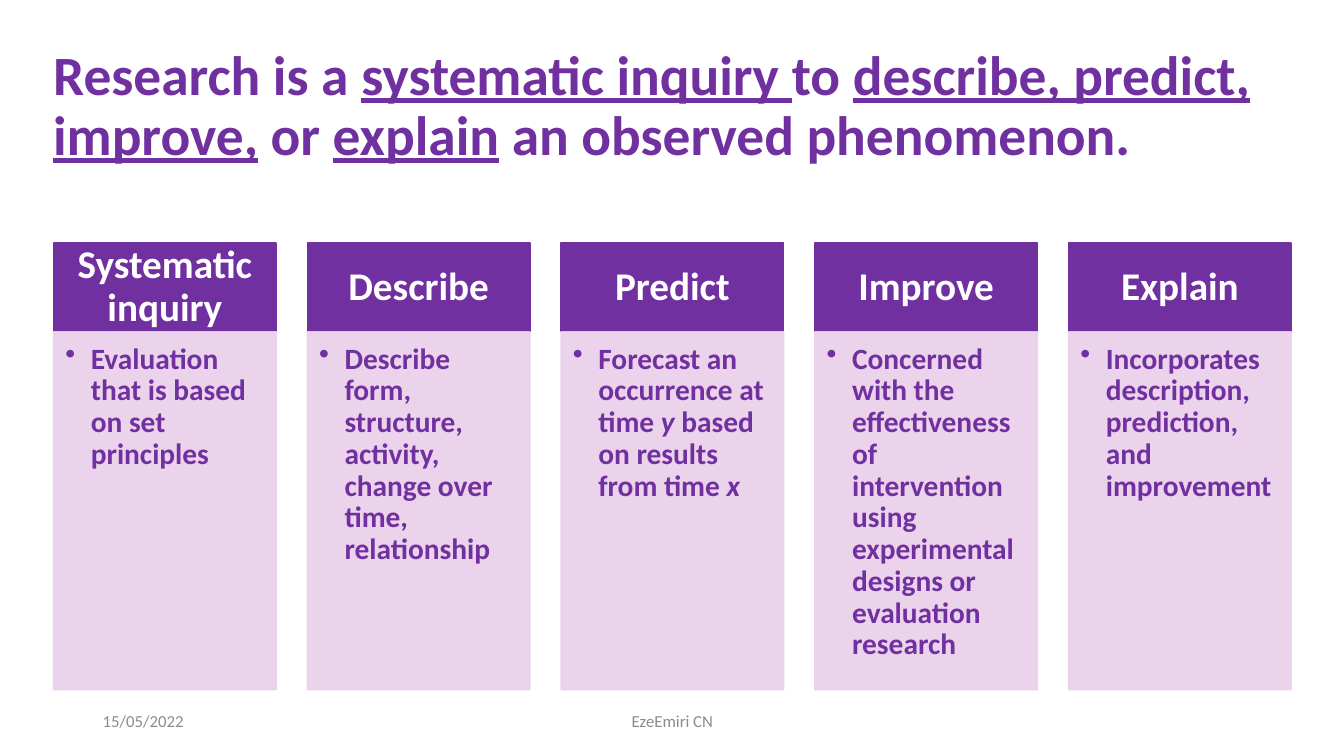
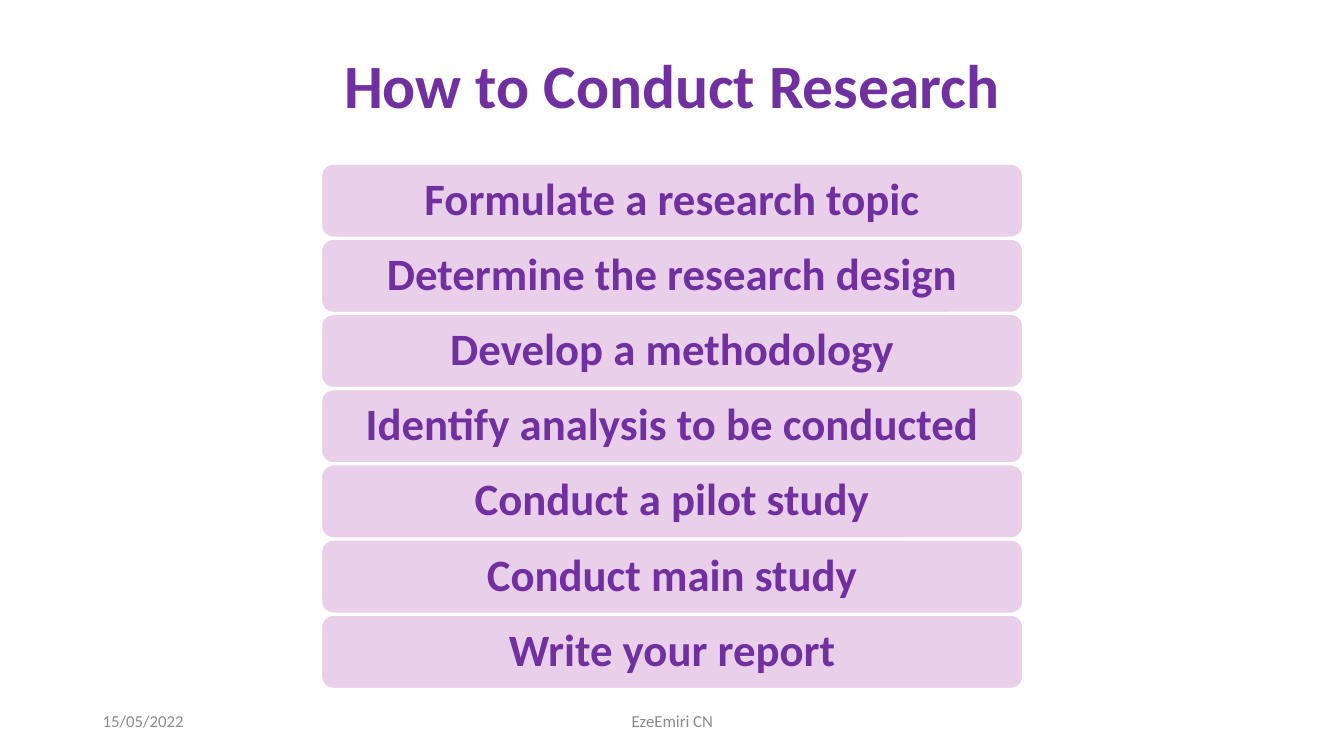
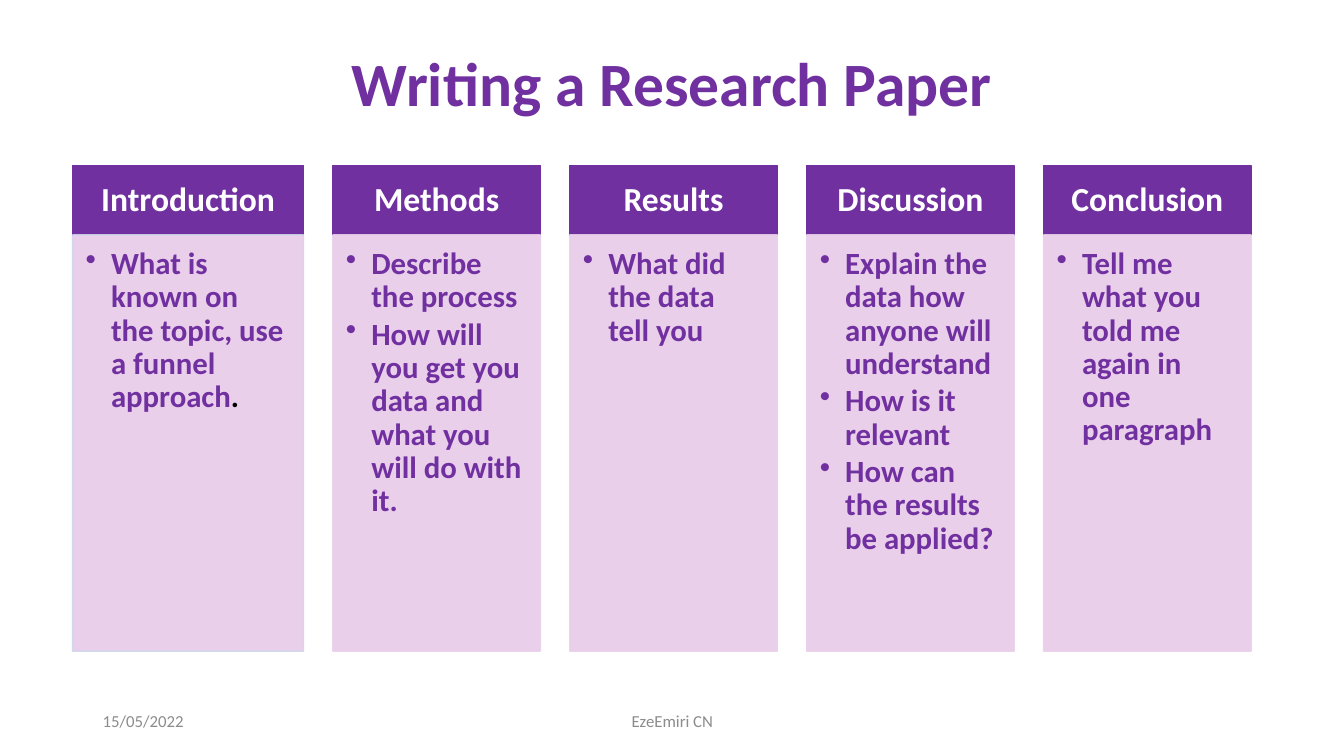
import pptx
import pptx.dml.color
import pptx.enum.shapes
import pptx.enum.text
import pptx.oxml
import pptx.oxml.ns
import pptx.util

Cm = pptx.util.Cm
Pt = pptx.util.Pt
ALIGN = pptx.enum.text.PP_ALIGN
ANCHOR = pptx.enum.text.MSO_ANCHOR
SHAPE = pptx.enum.shapes.MSO_SHAPE

COLOURS = {
    "purple": "7030A0",
    "lilac": "EACFEB",
    "mist": "CFD5EA",
    "white": "FFFFFF",
    "black": "000000",
    "grey": "8C8C8C",
}
FONT = "Calibri"
TITLE_BOX = (2.34, 1.02, 29.21, 2.44)
DATE_BOX = (2.34, 17.65, 7.62, 1.02)
AUTHOR_BOX = (11.23, 17.65, 11.43, 1.02)
LINE_SPACING = 0.9

DEFINITION = [
    ("Research is a ", {}),
    ("systematic inquiry ", {"underline": True}),
    ("to ", {}),
    ("describe, predict, improve,", {"underline": True}),
    (" or ", {}),
    ("explain", {"underline": True}),
    (" an observed phenomenon.", {}),
]
PURPOSES = [
    ("Systematic inquiry", ["Evaluation that is based on set principles"]),
    ("Describe", ["Describe form, structure, activity, change over time, relationship"]),
    ("Predict", [[
        ("Forecast an occurrence at time ", {}),
        ("y", {"italic": True}),
        (" based on results from time ", {}),
        ("x", {"italic": True}),
    ]]),
    ("Improve", ["Concerned with the effectiveness of intervention using "
                 "experimental designs or evaluation research"]),
    ("Explain", ["Incorporates description, prediction, and improvement"]),
]
PURPOSE_STYLE = {
    "widths": [5.61] * 5, "header_height": 2.24, "header_size": 28, "body_size": 21,
    "header_insets": (0.56, 0.3, 0.56, 0.3), "body_insets": (0.3, 0.3, 0.41, 0.46),
    "body_alpha": 90, "first_line": "lilac",
}
STEPS = [
    "Formulate a research topic",
    "Determine the research design",
    "Develop a methodology",
    "Identify analysis to be conducted",
    "Conduct a pilot study",
    "Conduct main study",
    "Write your report",
]
SECTIONS = [
    ("Introduction", [[
        ("What is known on the topic, use a funnel approach", {}),
        (".", {"colour": "black"}),
    ]]),
    ("Methods", ["Describe the process",
                 "How will you get you data and what you will do with it."]),
    ("Results", ["What did the data tell you"]),
    ("Discussion", ["Explain the data how anyone will understand",
                    "How is it relevant",
                    "How can the results be applied?"]),
    ("Conclusion", ["Tell me what you told me again in one paragraph"]),
]
SECTION_STYLE = {
    "widths": [5.82] + [5.23] * 4, "header_height": 1.75, "header_size": 24, "body_size": 22,
    "header_insets": (0.48, 0.28, 0.48, 0.28), "body_insets": (0.33, 0.33, 0.43, 0.48),
    "body_alpha": 100, "first_line": "mist",
}


def rgb(name):
    """Return the named colour."""
    return pptx.dml.color.RGBColor.from_string(COLOURS[name])


def set_alpha(fill_element, percent):
    """Make the solid colour inside an element partly transparent."""
    colour = fill_element.find(".//" + pptx.oxml.ns.qn("a:srgbClr"))
    colour.append(pptx.oxml.parse_xml(
        f'<a:alpha {pptx.oxml.ns.nsdecls("a")} val="{percent * 1000}"/>'))


def add_bullet(paragraph):
    """Give a paragraph a hanging round bullet."""
    properties = paragraph._p.get_or_add_pPr()
    properties.set("marL", str(Cm(0.64)))
    properties.set("indent", str(-Cm(0.64)))
    properties.append(pptx.oxml.parse_xml(
        f'<a:buChar {pptx.oxml.ns.nsdecls("a")} char="•"/>'))


def write_text(shape, paragraphs, size, colour, bold=True, align=ALIGN.CENTER,
               anchor=ANCHOR.MIDDLE, insets=(0.25, 0.13, 0.25, 0.13),
               bullets=False, spacing=LINE_SPACING):
    """Write paragraphs, each a string or a list of styled runs, into a shape."""
    frame = shape.text_frame
    frame.word_wrap = True
    frame.vertical_anchor = anchor
    (frame.margin_left, frame.margin_top,
     frame.margin_right, frame.margin_bottom) = map(Cm, insets)
    for index, content in enumerate(paragraphs):
        paragraph = frame.add_paragraph() if index else frame.paragraphs[0]
        paragraph.alignment = align
        paragraph.line_spacing = spacing
        if bullets:
            paragraph.space_after = Pt(3)
            add_bullet(paragraph)
        runs = [(content, {})] if isinstance(content, str) else content
        for text, style in runs:
            run = paragraph.add_run()
            run.text = text
            run.font.name = FONT
            run.font.size = Pt(size)
            run.font.bold = bold
            run.font.italic = style.get("italic")
            run.font.underline = style.get("underline")
            run.font.color.rgb = rgb(style.get("colour", colour))


def add_text_box(slide, box, content, size, colour, **options):
    """Add a text box holding one paragraph."""
    shape = slide.shapes.add_textbox(*map(Cm, box))
    write_text(shape, [content], size, colour, **options)


def add_panel(slide, kind, box, fill, line):
    """Add a flat filled shape with a thin outline."""
    shape = slide.shapes.add_shape(kind, *map(Cm, box))
    shape.shadow.inherit = False
    shape.fill.solid()
    shape.fill.fore_color.rgb = rgb(fill)
    shape.line.color.rgb = rgb(line)
    shape.line.width = Pt(1)
    return shape


def add_slide(presentation, title, box=TITLE_BOX, size=44, align=ALIGN.CENTER):
    """Add a blank slide with its title and footers."""
    slide = presentation.slides.add_slide(presentation.slide_layouts[6])
    add_text_box(slide, box, title, size, "purple", align=align)
    for footer_box, text, footer_align in ((DATE_BOX, "15/05/2022", ALIGN.LEFT),
                                           (AUTHOR_BOX, "EzeEmiri CN", ALIGN.CENTER)):
        add_text_box(slide, footer_box, text, 12, "grey", bold=False,
                     align=footer_align, spacing=1.0)
    return slide


def add_column(slide, box, heading, points, style, line):
    """Add a heading band above a bulleted panel."""
    left, top, width, height = box
    header_height = style["header_height"]
    header = add_panel(slide, SHAPE.RECTANGLE, (left, top, width, header_height),
                       "purple", "purple")
    write_text(header, [heading], style["header_size"], "white",
               insets=style["header_insets"])
    body = add_panel(slide, SHAPE.RECTANGLE,
                     (left, top + header_height, width, height - header_height),
                     "lilac", line)
    if style["body_alpha"] < 100:
        set_alpha(body._element.spPr.find(pptx.oxml.ns.qn("a:solidFill")),
                  style["body_alpha"])
    set_alpha(body.line._ln, 90)
    write_text(body, points, style["body_size"], "purple", align=ALIGN.LEFT,
               anchor=ANCHOR.TOP, insets=style["body_insets"], bullets=True)


def add_columns(slide, box, columns, style):
    """Spread columns across a box with equal gaps."""
    left, top, width, height = box
    widths = style["widths"]
    gap = (width - sum(widths)) / (len(widths) - 1)
    for index, (heading, points) in enumerate(columns):
        line = "lilac" if index else style["first_line"]
        add_column(slide, (left, top, widths[index], height), heading, points, style, line)
        left += widths[index] + gap


def add_steps(slide, box, steps, step_height=1.85):
    """Stack rounded steps down a box with equal gaps."""
    left, top, width, height = box
    pitch = (height - step_height) / (len(steps) - 1)
    for index, step in enumerate(steps):
        shape = add_panel(slide, SHAPE.ROUNDED_RECTANGLE,
                          (left, top + index * pitch, width, step_height),
                          "lilac", "white")
        write_text(shape, [step], 32, "purple", insets=(0.42,) * 4)


def main():
    """Build and save the presentation."""
    presentation = pptx.Presentation()
    presentation.slide_width = Cm(33.87)
    presentation.slide_height = Cm(19.05)

    slide = add_slide(presentation, DEFINITION, (1.09, 0.48, 31.7, 4.45), 39.6, ALIGN.LEFT)
    add_columns(slide, (1.35, 6.12, 31.19, 11.26), PURPOSES, PURPOSE_STYLE)

    slide = add_slide(presentation, "How to Conduct Research")
    add_steps(slide, (8.1, 4.13, 17.68, 13.22), STEPS)

    slide = add_slide(presentation, "Writing a Research Paper", (2.34, 1.02, 29.21, 2.34))
    add_columns(slide, (1.83, 4.17, 29.7, 12.24), SECTIONS, SECTION_STYLE)

    presentation.save("out.pptx")


if __name__ == "__main__":
    main()
